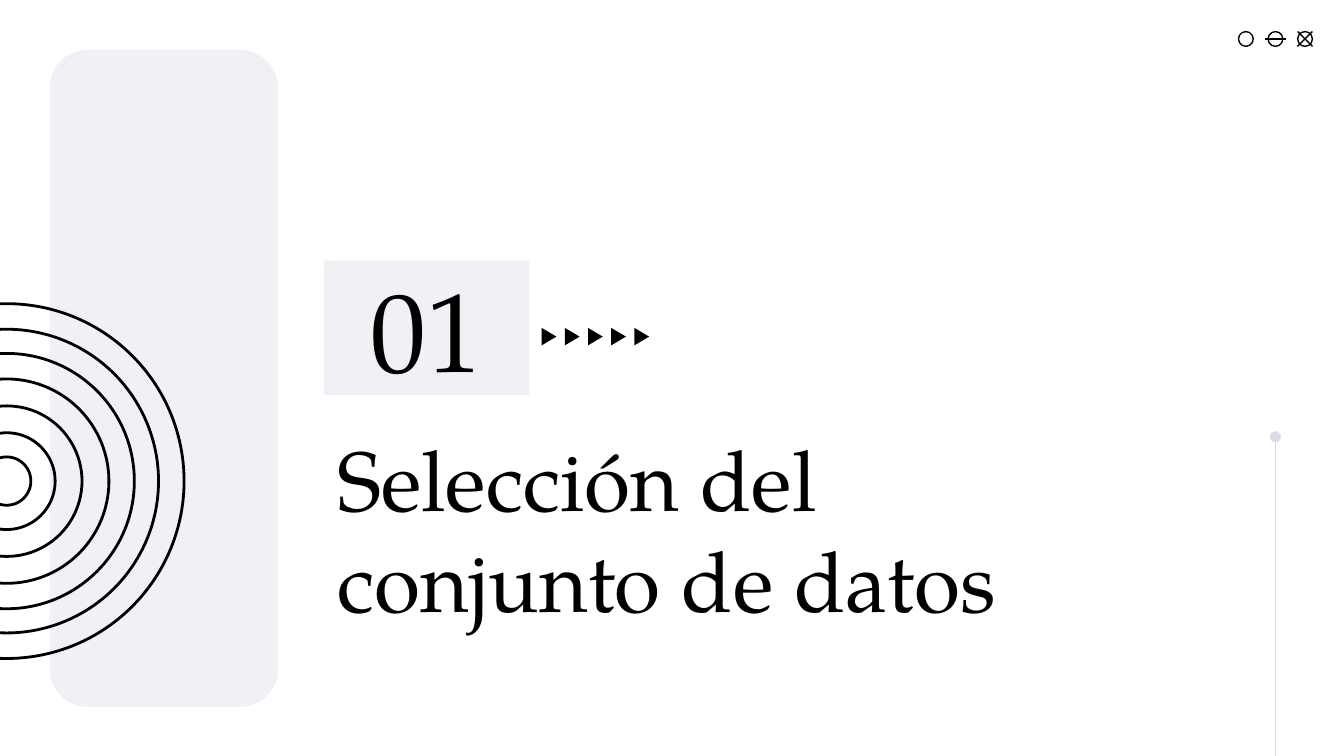
from dataclasses import dataclass

from lxml.etree import SubElement
from pptx import Presentation
from pptx.dml.color import RGBColor
from pptx.enum.shapes import MSO_CONNECTOR as Connector, MSO_SHAPE as Shape
from pptx.enum.text import MSO_ANCHOR as Anchor, PP_ALIGN as Align
from pptx.oxml.ns import qn
from pptx.util import Inches, Pt

BLACK = RGBColor(0x00, 0x00, 0x00)
PALE = RGBColor(0xF0, 0xF1, 0xF5)
GREY = RGBColor(0xD8, 0xDC, 0xE5)
FONT = "TeX Gyre Pagella"
WIDTH = 10
HEIGHT = WIDTH * 9 / 16


@dataclass
class Box:
    x: float
    y: float
    w: float
    h: float

    def emu(self):
        return [Inches(v) for v in (self.x, self.y, self.w, self.h)]


def add_shape(s, kind, box: Box, fill=None, line=None, width=0.75, rotation=0):
    sp = s.shapes.add_shape(kind, *box.emu())
    sp.shadow.inherit = False
    sp.rotation = rotation
    if fill is None:
        sp.fill.background()
    else:
        sp.fill.solid()
        sp.fill.fore_color.rgb = fill
    if line is None:
        sp.line.fill.background()
    else:
        sp.line.color.rgb = line
        sp.line.width = Pt(width)
    return sp


def add_circle(s, cx: float, cy: float, radius: float, width: float):
    box = Box(cx - radius, cy - radius, 2 * radius, 2 * radius)
    return add_shape(s, Shape.OVAL, box, line=BLACK, width=width)


def add_line(s, x1: float, y1: float, x2: float, y2: float, color=BLACK, head=None):
    cn = s.shapes.add_connector(
        Connector.STRAIGHT, Inches(x1), Inches(y1), Inches(x2), Inches(y2))
    cn.line.color.rgb = color
    cn.line.width = Pt(0.75)
    if head:
        ln = cn._element.spPr.find(qn("a:ln"))
        SubElement(ln, qn("a:headEnd"), type=head)
    SubElement(cn._element.spPr, qn("a:effectLst"))
    return cn


def set_text(sp, text: str, *, size: float, align=Align.LEFT, anchor=Anchor.TOP):
    tf = sp.text_frame
    tf.word_wrap = True
    tf.vertical_anchor = anchor
    tf.margin_left = tf.margin_right = tf.margin_top = tf.margin_bottom = Inches(0.1)
    p = tf.paragraphs[0]
    p.alignment = align
    r = p.add_run()
    r.text = text
    r.font.name = FONT
    r.font.size = Pt(size)
    r.font.color.rgb = BLACK


def add_corner_icons(s):
    y, radius = 0.29, 0.11 / 2
    plain, barred, crossed = (9.27 + 0.22 * i for i in range(3))
    for cx in (plain, barred, crossed):
        add_circle(s, cx, y, radius, 0.75)
    add_line(s, barred - 0.08, y, barred + 0.08, y)
    for dy in (radius, -radius):
        add_line(s, crossed - radius, y + dy, crossed + radius, y - dy)


def main():
    prs = Presentation()
    prs.slide_width, prs.slide_height = Inches(WIDTH), Inches(HEIGHT)
    s = prs.slides.add_slide(prs.slide_layouts[6])

    add_corner_icons(s)
    add_line(s, 9.49, 3.25, 9.49, HEIGHT, color=GREY, head="oval")

    title = s.shapes.add_textbox(*Box(2.41, 3.08, 5.54, 1.65).emu())
    set_text(title, "Selección del conjunto de datos", size=45)

    number = add_shape(s, Shape.RECTANGLE, Box(2.41, 1.94, 1.53, 1), fill=PALE)
    set_text(number, "01", size=60, align=Align.CENTER, anchor=Anchor.MIDDLE)

    arrow_pitch = (4.71 - 4.02) / 4
    for i in range(5):
        box = Box(4.02 + arrow_pitch * i, 2.45, 0.13, 0.11)
        add_shape(s, Shape.ISOSCELES_TRIANGLE, box, fill=BLACK, rotation=90)

    panel = add_shape(s, Shape.ROUNDED_RECTANGLE, Box(0.37, 0.37, 1.7, 4.89), fill=PALE)
    panel.adjustments[0] = 1 / 6

    for radius in (0.18, 0.36, 0.56, 0.76, 0.95, 1.13, 1.32):
        add_circle(s, 0.05, 3.58, radius, 1.5)

    prs.save("out.pptx")


if __name__ == "__main__":
    main()
